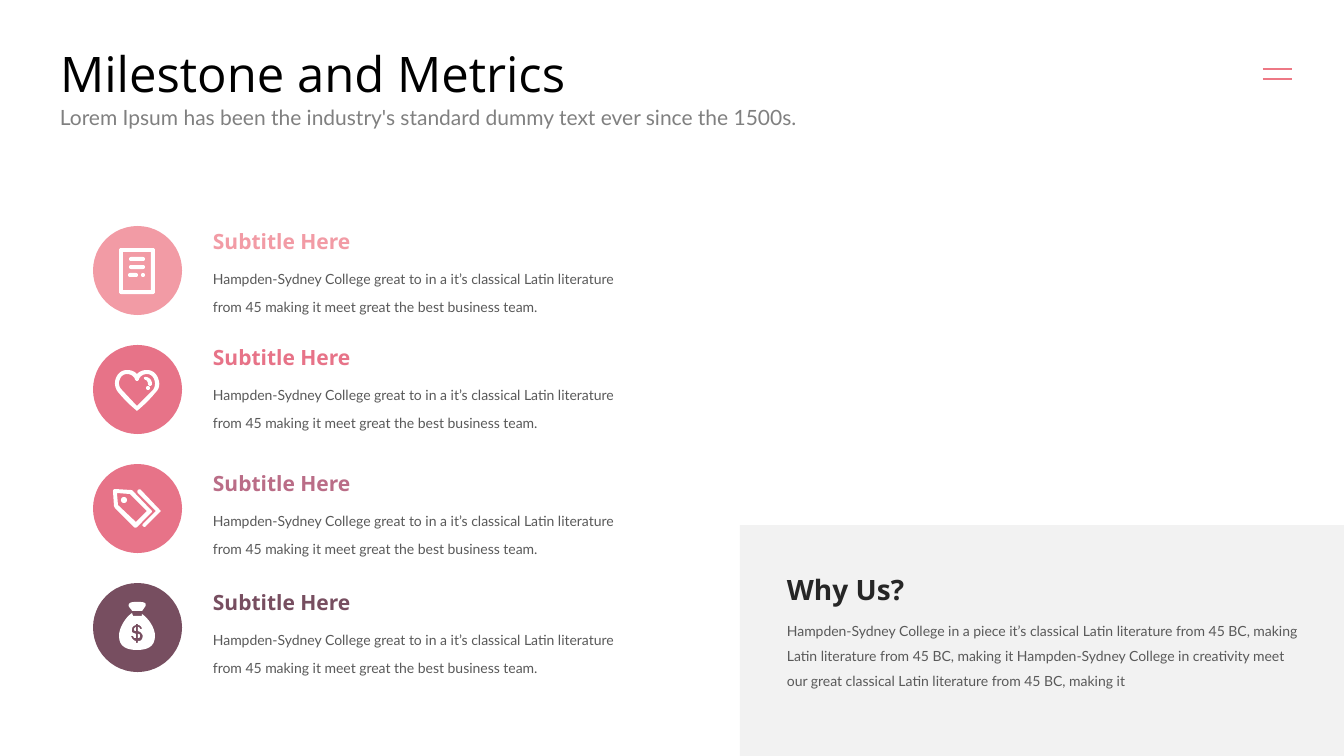
from lxml.etree import SubElement
from pptx import Presentation
from pptx.dml.color import RGBColor
from pptx.enum.shapes import MSO_CONNECTOR as LINE, MSO_SHAPE as SHAPE
from pptx.enum.text import MSO_ANCHOR as ANCHOR, MSO_AUTO_SIZE as FIT, PP_ALIGN as ALIGN
from pptx.oxml.ns import qn
from pptx.util import Pt

PX = 9072
C = {
    "black": "000000", "white": "FFFFFF", "gray": "808080", "body": "595959",
    "dark": "262626", "panel": "F2F2F2", "rule": "ED7885", "salmon": "F29BA5",
    "rose": "E77388", "mauve": "BA6D87", "plum": "774E60",
}
HEAD, BODY = "Open Sans", "Lato"

prs = Presentation()
prs.slide_width, prs.slide_height = 1344 * PX, 756 * PX
s = prs.slides.add_slide(prs.slide_layouts[5])


def write(sp, box, text, size, font, color, bold=False, spacing=None, fit=FIT.SHAPE_TO_FIT_TEXT):
    sp.left, sp.top, sp.width, sp.height = [n * PX for n in box]
    tf = sp.text_frame
    tf.word_wrap = True
    tf.auto_size = fit
    p = tf.paragraphs[0]
    p.text = text
    p.alignment = ALIGN.LEFT
    p.line_spacing = spacing
    p.font.size, p.font.name, p.font.bold = Pt(size), font, bold
    p.font.color.rgb = RGBColor.from_string(C[color])


def draw_icon(left, top, outlines, pills):
    contours = list(outlines)
    for l, r, y, h in pills:
        k = h * 4 / 3
        contours.append([(l, y - h), (r, y - h), (r + k, y - h, r + k, y + h, r, y + h),
                         (l, y + h), (l - k, y + h, l - k, y - h, l, y - h)])
    builder = None
    for contour in contours:
        pts = [contour[0]]
        for step in contour[1:]:
            if len(step) == 2:
                pts.append(step)
                continue
            curve = [pts[-1], step[:2], step[2:4], step[4:]]
            for t in [n / 8 for n in range(1, 9)]:
                weights = ((1 - t) ** 3, 3 * t * (1 - t) ** 2, 3 * t * t * (1 - t), t ** 3)
                pts.append(tuple(sum(w * q[axis] for w, q in zip(weights, curve))
                                 for axis in (0, 1)))
        pts = [((left + x) * PX, (top + y) * PX) for x, y in pts]
        if builder is None:
            builder = s.shapes.build_freeform(*pts[0])
        else:
            builder.move_to(*pts[0])
        builder.add_line_segments(pts[1:], close=True)
    sp = builder.convert_to_shape()
    sp.shadow.inherit = False
    sp.fill.solid()
    sp.fill.fore_color.rgb = RGBColor.from_string(C["white"])
    sp.line.fill.background()


title = s.shapes.title
write(title, (50, 39, 1243, 67), "Milestone and Metrics", 35, HEAD, "black", fit=FIT.NONE)
title.text_frame.vertical_anchor = ANCHOR.MIDDLE

for y in (69, 79):
    rule = s.shapes.add_connector(LINE.STRAIGHT, 1263 * PX, y * PX, 1292 * PX, y * PX)
    rule.line.color.rgb = RGBColor.from_string(C["rule"])
    rule.line.width = Pt(1.5)
    SubElement(rule._element.spPr, qn("a:effectLst"))

write(s.shapes.add_textbox(0, 0, 0, 0), (50, 100, 1243, 35),
      "Lorem Ipsum has been the industry's standard dummy text ever since the 1500s.",
      15, BODY, "gray")

document = (
    [[(62, 24), (62, 23, 61, 22, 60, 22), (28, 22), (27, 22, 26, 23, 26, 24), (26, 66),
      (26, 67, 27, 68, 28, 68), (60, 68), (61, 68, 62, 67, 62, 66)],
     [(58, 64), (30, 64), (30, 26), (58, 26)]],
    [(38, 50, 33, 2), (38, 50, 41, 2), (37, 43, 49, 2), (50, 50, 49, 2)],
)
heart = (
    [[(65, 33), (63, 28, 59, 25, 54, 25), (49, 25, 46, 27, 44, 29), (42, 27, 39, 25, 34, 25),
      (29, 25, 25, 28, 23, 33), (21, 38, 22, 43, 25, 47), (34, 58, 43, 65, 43, 65),
      (44, 66, 44, 66, 45, 65), (45, 65, 54, 58, 63, 47), (67, 43, 67, 38, 65, 33)],
     [(60, 45), (44, 61), (29, 45), (26, 42, 25, 38, 27, 34), (28, 31, 31, 29, 34, 29),
      (40, 29, 42, 34, 42, 34), (42, 35, 43, 36, 44, 36), (45, 36, 46, 35, 46, 34),
      (46, 34, 48, 29, 54, 29), (57, 29, 60, 31, 61, 34), (63, 38, 62, 42, 60, 45)],
     [(59, 39), (59, 40, 58, 41, 57, 41), (56, 41, 55, 40, 55, 39), (55, 36, 53, 35, 53, 35),
      (52, 35, 51, 34, 51, 33), (51, 32, 52, 32, 53, 32), (55, 32, 59, 34, 59, 39)]],
    [(55, 55, 43, 2)],
)
tags = (
    [[(59, 47), (39, 26), (38, 26), (22, 25), (21, 25, 20, 26, 20, 27), (21, 42), (22, 44),
      (41, 63), (42, 64, 43, 64, 44, 63), (59, 48)],
     [(43, 58), (25, 41), (24, 29), (37, 30), (54, 47)],
     [(68, 47), (53, 62), (52, 64, 48, 62, 50, 60), (63, 47), (45, 29), (43, 27, 46, 24, 48, 26),
      (67, 46)]],
    [(31, 31, 36, 3)],
)
money_bag = (
    [[(49, 28), (50, 27, 51, 25, 52, 24), (55, 19, 49, 19, 44, 19), (40, 19, 34, 19, 36, 24),
      (37, 25, 39, 27, 39, 28)],
     [(49, 31), (49, 33), (40, 33), (39, 30), (32, 35, 26, 45, 26, 53), (26, 64, 34, 67, 44, 67),
      (54, 67, 62, 64, 62, 53), (62, 45, 56, 36, 49, 31)],
     [(49, 56), (48, 58, 47, 58, 45, 58), (45, 60), (43, 60), (43, 58), (41, 58, 39, 56, 38, 53),
      (40, 53), (41, 55, 41, 55, 43, 55), (43, 51), (41, 50, 40, 50, 39, 49),
      (39, 48, 39, 47, 39, 47), (39, 44, 40, 43, 43, 42), (43, 41), (45, 41), (45, 42),
      (47, 42, 49, 44, 49, 46), (47, 46), (47, 45, 46, 44, 45, 44), (45, 48),
      (47, 49, 48, 49, 48, 50), (50, 51, 50, 54, 49, 56)],
     [(41, 46), (41, 47, 41, 48, 43, 48), (43, 44), (43, 44, 42, 44, 41, 46)],
     [(45, 51), (45, 55), (46, 55, 47, 55, 47, 53), (47, 52, 47, 51, 45, 51)]],
    [],
)

milestones = [
    ("salmon", "salmon", 224, document),
    ("rose", "rose", 340, heart),
    ("rose", "mauve", 466, tags),
    ("plum", "plum", 585, money_bag),
]
for i, (disc_color, text_color, text_top, icon) in enumerate(milestones):
    top = 226 + 119 * i
    disc = s.shapes.add_shape(SHAPE.OVAL, 93 * PX, top * PX, 89 * PX, 89 * PX)
    disc.shadow.inherit = False
    disc.fill.solid()
    disc.fill.fore_color.rgb = RGBColor.from_string(C[disc_color])
    disc.line.fill.background()
    draw_icon(93, top, *icon)
    write(s.shapes.add_textbox(0, 0, 0, 0), (203, text_top, 179, 35),
          "Subtitle Here", 15, HEAD, text_color, bold=True)
    write(s.shapes.add_textbox(0, 0, 0, 0), (203, text_top + 30, 435, 62),
          "Hampden-Sydney College great to in a it’s classical Latin literature "
          "from 45 making it meet great the best business team.",
          10, BODY, "body", spacing=Pt(20))

panel = s.shapes.add_shape(SHAPE.RECTANGLE, 740 * PX, 525 * PX, 604 * PX, 231 * PX)
panel.shadow.inherit = False
panel.fill.solid()
panel.fill.fore_color.rgb = RGBColor.from_string(C["panel"])
panel.line.fill.background()
write(s.shapes.add_textbox(0, 0, 0, 0), (777, 609, 534, 84),
      "Hampden-Sydney College in a piece it’s classical Latin literature from 45 BC, making "
      "Latin literature from 45 BC, making it Hampden-Sydney College in creativity meet "
      "our great classical Latin literature from 45 BC, making it",
      10, BODY, "body", spacing=Pt(18))
write(s.shapes.add_textbox(0, 0, 0, 0), (777, 571, 156, 42),
      "Why Us?", 20, HEAD, "dark", bold=True, spacing=0.9, fit=FIT.NONE)

prs.save("out.pptx")
